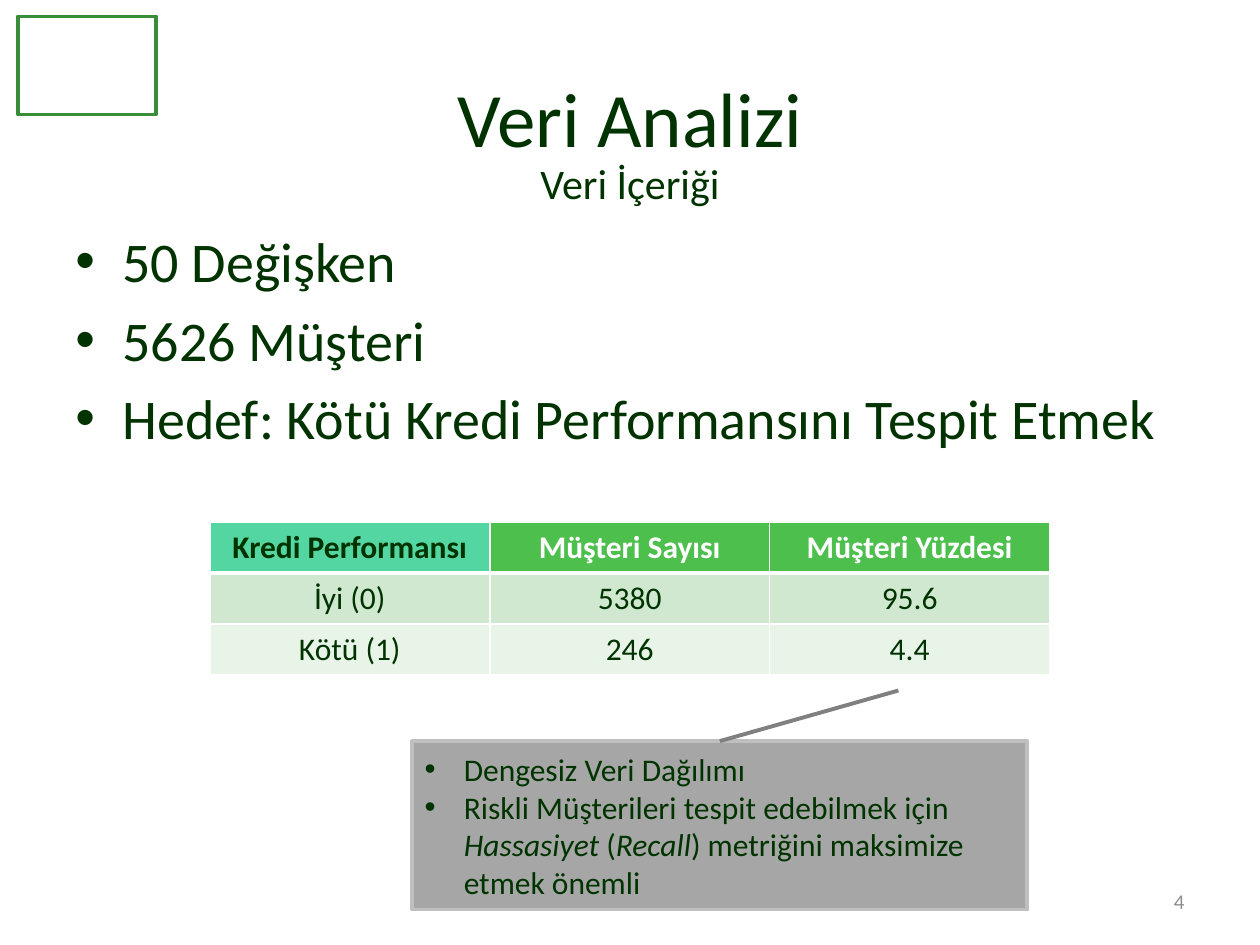
from dataclasses import dataclass

from lxml import etree
from pptx import Presentation
from pptx import util as u
from pptx.dml import color
from pptx.enum import shapes, text
from pptx.oxml import ns


@dataclass(frozen=True)
class Theme:
    """Colours and type sizes of the slide."""
    font: str = "Calibri"
    ink: str = "003300"
    white: str = "FFFFFF"
    muted: str = "8C908C"
    frame: str = "398D39"
    key_header: str = "53D6A1"
    header: str = "4DBF4D"
    bands: tuple = ("D0E8D0", "E9F4E9")
    note: str = "A6A6A6"
    note_edge: str = "BFBFBF"
    pointer: str = "808080"
    title: int = 44
    subtitle: int = 24
    body: int = 32
    small: int = 18
    number: int = 12


THEME = Theme()
ALIGN = text.PP_ALIGN
ANCHOR = text.MSO_ANCHOR


def rgb(value):
    """Turn a hex string into a colour."""
    return color.RGBColor.from_string(value)


def child(parent, tag, **attributes):
    """Append a DrawingML element to its parent."""
    return etree.SubElement(parent, ns.qn(f"a:{tag}"), attributes)


def add_run(paragraph, words, size, ink=THEME.ink, bold=False, italic=False):
    """Add one formatted run."""
    run = paragraph.add_run()
    run.text = words
    font = run.font
    font.name, font.size, font.bold, font.italic = THEME.font, u.Pt(size), bold, italic
    font.color.rgb = rgb(ink)


def add_bullets(frame, items, size, indent, space=0):
    """Fill a frame with bulleted paragraphs of (words, italic) runs."""
    for index, runs in enumerate(items):
        paragraph = frame.paragraphs[0] if index == 0 else frame.add_paragraph()
        paragraph.alignment = ALIGN.LEFT
        paragraph.space_before = u.Pt(space)
        properties = paragraph._p.get_or_add_pPr()
        properties.set("marL", str(indent))
        properties.set("indent", str(-indent))
        child(properties, "buFont", typeface="Arial")
        child(properties, "buChar", char="•")
        for words, italic in runs:
            add_run(paragraph, words, size, italic=italic)


def add_frame(slide, box, anchor=ANCHOR.TOP):
    """Place a wrapping text box and return its frame."""
    frame = slide.shapes.add_textbox(*box).text_frame
    frame.word_wrap = True
    frame.vertical_anchor = anchor
    return frame


def add_panel(slide, box, edge, fill=None):
    """Place an outlined rectangle, filled if a colour is given."""
    panel = slide.shapes.add_shape(shapes.MSO_SHAPE.RECTANGLE, *box)
    panel.shadow.inherit = False
    panel.line.color.rgb = rgb(edge)
    panel.line.width = u.Pt(2)
    if fill:
        panel.fill.solid()
        panel.fill.fore_color.rgb = rgb(fill)
    else:
        panel.fill.background()
    return panel


def add_heading(slide, box):
    """Place the title with the subtitle overlapping its foot."""
    left, top, width, height = box
    title = slide.shapes.title
    title.left, title.top, title.width, title.height = left, top, width, u.Cm(3.18)
    title.text_frame.vertical_anchor = ANCHOR.MIDDLE
    heading = title.text_frame.paragraphs[0]
    heading.alignment = ALIGN.CENTER
    add_run(heading, "Veri Analizi", THEME.title)
    subtitle_height = u.Cm(1.27)
    subtitle_box = (left, top + height - subtitle_height, width, subtitle_height)
    subtitle = add_frame(slide, subtitle_box).paragraphs[0]
    subtitle.alignment = ALIGN.CENTER
    subtitle.space_before = u.Pt(THEME.subtitle * 0.2)
    add_run(subtitle, "Veri İçeriği", THEME.subtitle)


def add_facts(slide, box):
    """Place the main bullet list."""
    facts = ("50 Değişken", "5626 Müşteri", "Hedef: Kötü Kredi Performansını Tespit Etmek")
    items = [[(fact, False)] for fact in facts]
    add_bullets(add_frame(slide, box), items, THEME.body, u.Cm(0.95), THEME.body * 0.2)


def add_borders(cell, bottom):
    """Draw white borders with the given bottom width."""
    properties = cell._tc.get_or_add_tcPr()
    for side, width in (("L", 1), ("R", 1), ("T", 1), ("B", bottom)):
        line = child(properties, f"ln{side}", w=str(u.Pt(width)))
        child(child(line, "solidFill"), "srgbClr", val=THEME.white)


def add_performance(slide, box):
    """Place the credit performance table."""
    rows = (
        ("Kredi Performansı", "Müşteri Sayısı", "Müşteri Yüzdesi"),
        ("İyi (0)", "5380", "95.6"),
        ("Kötü (1)", "246", "4.4"),
    )
    table = slide.shapes.add_table(len(rows), len(rows[0]), *box).table
    for row, values in enumerate(rows):
        is_header = row == 0
        for column, value in enumerate(values):
            cell = table.cell(row, column)
            is_key = column == 0
            if is_header:
                fill = THEME.key_header if is_key else THEME.header
            else:
                fill = THEME.bands[row - 1]
            add_borders(cell, 3 if is_header else 1)
            cell.fill.solid()
            cell.fill.fore_color.rgb = rgb(fill)
            paragraph = cell.text_frame.paragraphs[0]
            paragraph.alignment = ALIGN.CENTER
            ink = THEME.white if is_header and not is_key else THEME.ink
            add_run(paragraph, value, THEME.small, ink, bold=is_header)


def add_note(slide, box):
    """Place the note and the pointer rising from its top edge."""
    left, top, width, height = box
    frame = add_panel(slide, box, THEME.note_edge, THEME.note).text_frame
    frame.word_wrap = True
    frame.vertical_anchor = ANCHOR.MIDDLE
    items = (
        [("Dengesiz Veri Dağılımı", False)],
        [
            ("Riskli Müşterileri tespit edebilmek için ", False),
            ("Hassasiyet", True),
            (" (", False),
            ("Recall", True),
            (") metriğini maksimize etmek önemli", False),
        ],
    )
    add_bullets(frame, items, THEME.small, u.Cm(0.79))
    pointer = slide.shapes.add_connector(
        shapes.MSO_CONNECTOR.STRAIGHT,
        left + u.Cm(9.8), top - u.Cm(1.02), left + width // 2, top)
    pointer.line.color.rgb = rgb(THEME.pointer)
    pointer.line.width = u.Pt(2.25)
    child(pointer._element.spPr, "effectLst")


def add_page_number(slide, box):
    """Place the page number."""
    number = add_frame(slide, box, ANCHOR.MIDDLE).paragraphs[0]
    number.alignment = ALIGN.RIGHT
    add_run(number, "4", THEME.number, THEME.muted)


def box_cm(*lengths):
    """Turn left, top, width and height in centimetres into a box."""
    return tuple(u.Cm(length) for length in lengths)


def main():
    """Build and save the slide."""
    deck = Presentation()
    deck.slide_width, deck.slide_height = u.Cm(25.4), u.Cm(19.05)
    slide = deck.slides.add_slide(deck.slide_layouts.get_by_name("Title Only"))
    add_facts(slide, box_cm(1.27, 4.45, 22.86, 12.57))
    add_page_number(slide, box_cm(18.2, 17.66, 5.93, 1.01))
    add_heading(slide, box_cm(1.27, 0.76, 22.86, 3.56))
    add_panel(slide, box_cm(0.36, 0.33, 2.79, 1.98), THEME.frame)
    add_performance(slide, box_cm(4.23, 10.52, 16.93, 3.09))
    add_note(slide, box_cm(8.31, 14.94, 12.4, 3.4))
    deck.save("out.pptx")


if __name__ == "__main__":
    main()
